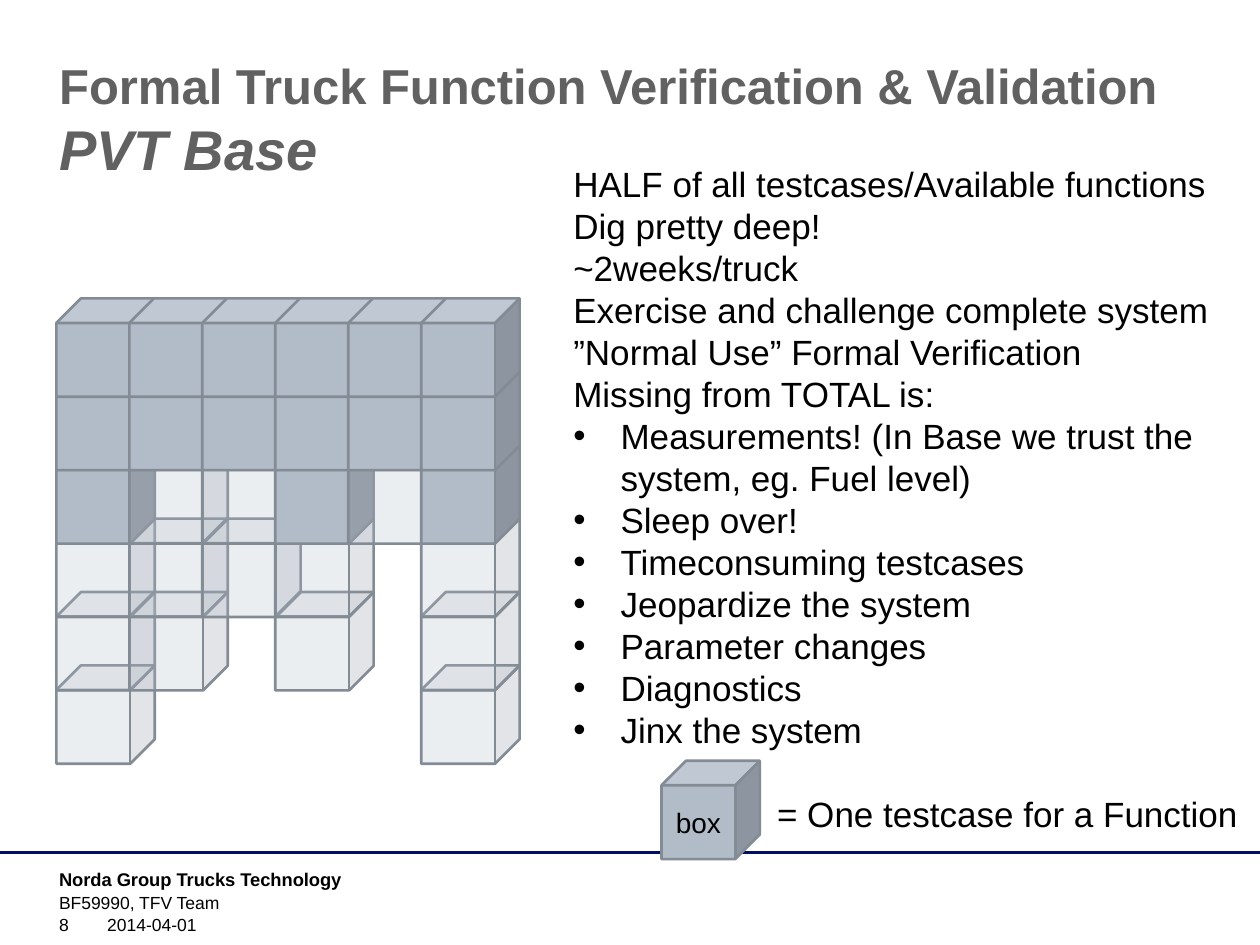
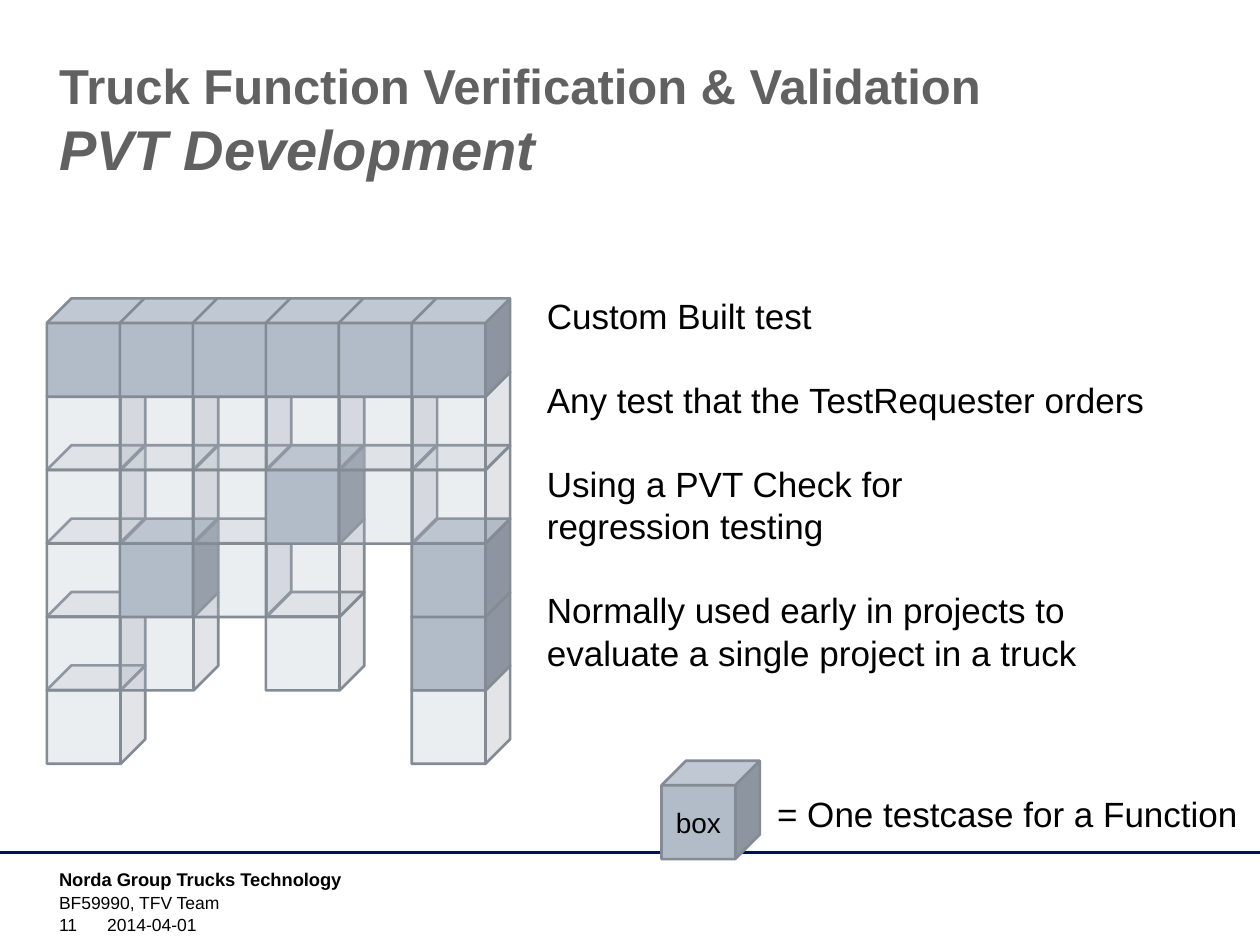
from lxml import etree
from pptx import Presentation
from pptx.dml.color import RGBColor
from pptx.enum.shapes import MSO_CONNECTOR, MSO_SHAPE
from pptx.enum.text import MSO_ANCHOR, MSO_AUTO_SIZE, PP_ALIGN
from pptx.oxml.ns import qn
from pptx.util import Pt

CUBE = MSO_SHAPE.CUBE
STRAIGHT = MSO_CONNECTOR.STRAIGHT
TOP, MIDDLE, BOTTOM = MSO_ANCHOR.TOP, MSO_ANCHOR.MIDDLE, MSO_ANCHOR.BOTTOM
LEFT, CENTER = PP_ALIGN.LEFT, PP_ALIGN.CENTER
NO_AUTOFIT = MSO_AUTO_SIZE.NONE

FONT = "Arial"
BLACK, TITLE_GREY, NAVY = "000000", "616161", "000F60"
CUBE_FILL, CUBE_EDGE = "B1BCC8", "838B94"

SLIDE_WIDTH, SLIDE_HEIGHT = 720, 540
TITLE_BOX = (26.64, 28, 648, 90)
FOOTER_TOP = 487.2
CUBE_SIZE, COLUMN_STEP, ROW_STEP = 56.2, 41.7, 41.95
LIST_INDENT = 27
BLANK_LINE = 24
BULLET = "• "

# Rows from top to bottom: "#" is a selected testcase, "o" an unselected one.
BASE_WALL = ["######", "######", "#oo#o#", "oooo.o", "oo.o.o", "o....o"]
DEVELOPMENT_WALL = ["######", "oooooo", "ooo#oo", "o#oo.#", "oo.o.#", "o....o"]

BASE_LINES = [
    "HALF of all testcases/Available functions",
    "Dig pretty deep!",
    "~2weeks/truck",
    "Exercise and challenge complete system",
    "”Normal Use” Formal Verification",
    "Missing from TOTAL is:",
    BULLET + "Measurements! (In Base we trust the system, eg. Fuel level)",
    BULLET + "Sleep over!",
    BULLET + "Timeconsuming testcases",
    BULLET + "Jeopardize the system",
    BULLET + "Parameter changes",
    BULLET + "Diagnostics",
    BULLET + "Jinx the system",
]
DEVELOPMENT_LINES = [
    "Custom Built test",
    "Any test that the TestRequester orders",
    "Using a PVT Check for\vregression testing",
    "Normally used early in projects to evaluate a single project in a truck",
]


def color(hex_string):
    return RGBColor.from_string(hex_string)


def format_runs(paragraph, size, hex_color=BLACK, bold=False):
    """Format the runs, and give line breaks the same size."""
    for run in paragraph.runs:
        run.font.name = FONT
        run.font.size = Pt(size)
        run.font.bold = bold
        run.font.color.rgb = color(hex_color)
    for line_break in paragraph._p.iter(qn("a:br")):
        etree.SubElement(line_break, qn("a:rPr"), sz=str(size * 100))


def place(shape, box):
    shape.left, shape.top, shape.width, shape.height = map(Pt, box)


def add_label(slide, box, text, size, bold=False, anchor=TOP):
    text_frame = slide.shapes.add_textbox(*map(Pt, box)).text_frame
    text_frame.word_wrap = True
    text_frame.vertical_anchor = anchor
    text_frame.text = text
    format_runs(text_frame.paragraphs[0], size, bold=bold)


def add_cube(shapes, left, top, selected=True):
    cube = shapes.add_shape(CUBE, *map(Pt, (left, top, CUBE_SIZE, CUBE_SIZE)))
    cube.shadow.inherit = False
    cube.fill.solid()
    cube.fill.fore_color.rgb = color(CUBE_FILL)
    cube.line.color.rgb = color(CUBE_EDGE)
    cube.line.width = Pt(1.5)
    if not selected:
        fill_color = cube._element.spPr.find(qn("a:solidFill"))[0]
        etree.SubElement(fill_color, qn("a:alpha"), val="25000")
    return cube


def add_cube_wall(slide, left, top, rows):
    """Stack cubes from the bottom row up, so that each row covers the one below."""
    wall = slide.shapes.add_group_shape()
    for row, cells in reversed(list(enumerate(rows))):
        for column, cell in enumerate(cells):
            if cell != ".":
                add_cube(wall.shapes, left + column * COLUMN_STEP,
                         top + row * ROW_STEP, cell == "#")


def add_legend(slide, left, top):
    cube = add_cube(slide.shapes, left, top)
    text_frame = cube.text_frame
    text_frame.word_wrap = False
    text_frame.vertical_anchor = MIDDLE
    text_frame.text = "box"
    text_frame.paragraphs[0].alignment = CENTER
    format_runs(text_frame.paragraphs[0], 16)
    add_label(slide, (left + 59, top + 14.4, 282, 31.5),
              "= One testcase for a Function", 20)


def add_footer(slide, left, top, number):
    rule = slide.shapes.add_connector(STRAIGHT, 0, Pt(top), Pt(SLIDE_WIDTH), Pt(top))
    rule.line.color.rgb = color(NAVY)
    rule.line.width = Pt(2)
    etree.SubElement(rule._element.spPr, qn("a:effectLst"))
    add_label(slide, (left, top + 5.2, 240, 17), "Norda Group Trucks Technology",
              10.5, bold=True)
    add_label(slide, (left, top + 19.2, 541, 17), "BF59990, TFV Team", 10)
    add_label(slide, (left, top + 34.1, 40, 16.5), number, 10, anchor=BOTTOM)
    add_label(slide, (left + 27.6, top + 34.1, 189, 16.5), "2014-04-01", 10, anchor=BOTTOM)


def set_title(slide, box, heading, variant):
    title = slide.shapes.title
    place(title, box)
    text_frame = title.text_frame
    text_frame.auto_size = NO_AUTOFIT
    text_frame.vertical_anchor = TOP
    text_frame.text = f"{heading}\v{variant}"
    paragraph = text_frame.paragraphs[0]
    paragraph.alignment = LEFT
    format_runs(paragraph, 32, TITLE_GREY, bold=True)
    heading_run, variant_run = paragraph.runs
    heading_run.font.size = Pt(28)
    variant_run.font.italic = True


def set_body(slide, box, lines, gap):
    body = slide.placeholders[1]
    place(body, box)
    text_frame = body.text_frame
    text_frame.auto_size = NO_AUTOFIT
    text_frame.text = "\n".join(line.removeprefix(BULLET) for line in lines)
    for index, (line, paragraph) in enumerate(zip(lines, text_frame.paragraphs)):
        properties = paragraph._p.get_or_add_pPr()
        bulleted = line.startswith(BULLET)
        indent = Pt(LIST_INDENT) if bulleted else 0
        properties.set("marL", str(indent))
        properties.set("indent", str(-indent))
        if bulleted:
            etree.SubElement(properties, qn("a:buChar"), char=BULLET.strip())
        else:
            etree.SubElement(properties, qn("a:buNone"))
        paragraph.space_before = Pt(gap if index else 0)
        format_runs(paragraph, 20)


def add_test_slide(presentation, number, heading, variant, wall_left, wall_rows,
                   body_box, lines, gap=0):
    slide = presentation.slides.add_slide(presentation.slide_layouts[1])
    set_title(slide, TITLE_BOX, heading, variant)
    set_body(slide, body_box, lines, gap)
    add_footer(slide, TITLE_BOX[0], FOOTER_TOP, number)
    add_cube_wall(slide, wall_left, 170.5, wall_rows)
    add_legend(slide, 378, 434.7)


def main():
    presentation = Presentation()
    presentation.slide_width = Pt(SLIDE_WIDTH)
    presentation.slide_height = Pt(SLIDE_HEIGHT)
    add_test_slide(presentation, "8",
                   "Formal Truck Function Verification & Validation", "PVT Base",
                   32.2, BASE_WALL, (320.4, 89.3, 385.2, 370.8), BASE_LINES)
    add_test_slide(presentation, "11",
                   "Truck Function Verification & Validation", "PVT Development",
                   26.8, DEVELOPMENT_WALL, (305.3, 164.9, 385.2, 225.4),
                   DEVELOPMENT_LINES, gap=BLANK_LINE)
    presentation.save("out.pptx")


if __name__ == "__main__":
    main()
